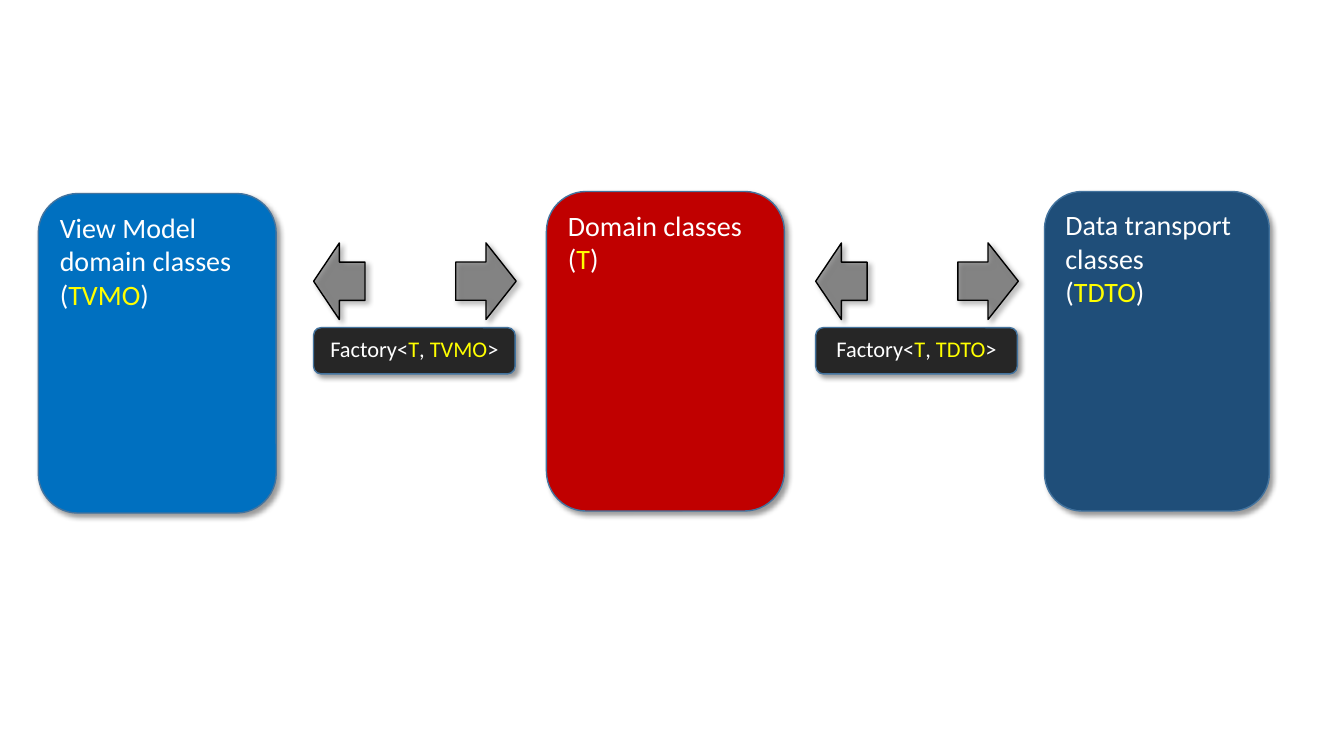
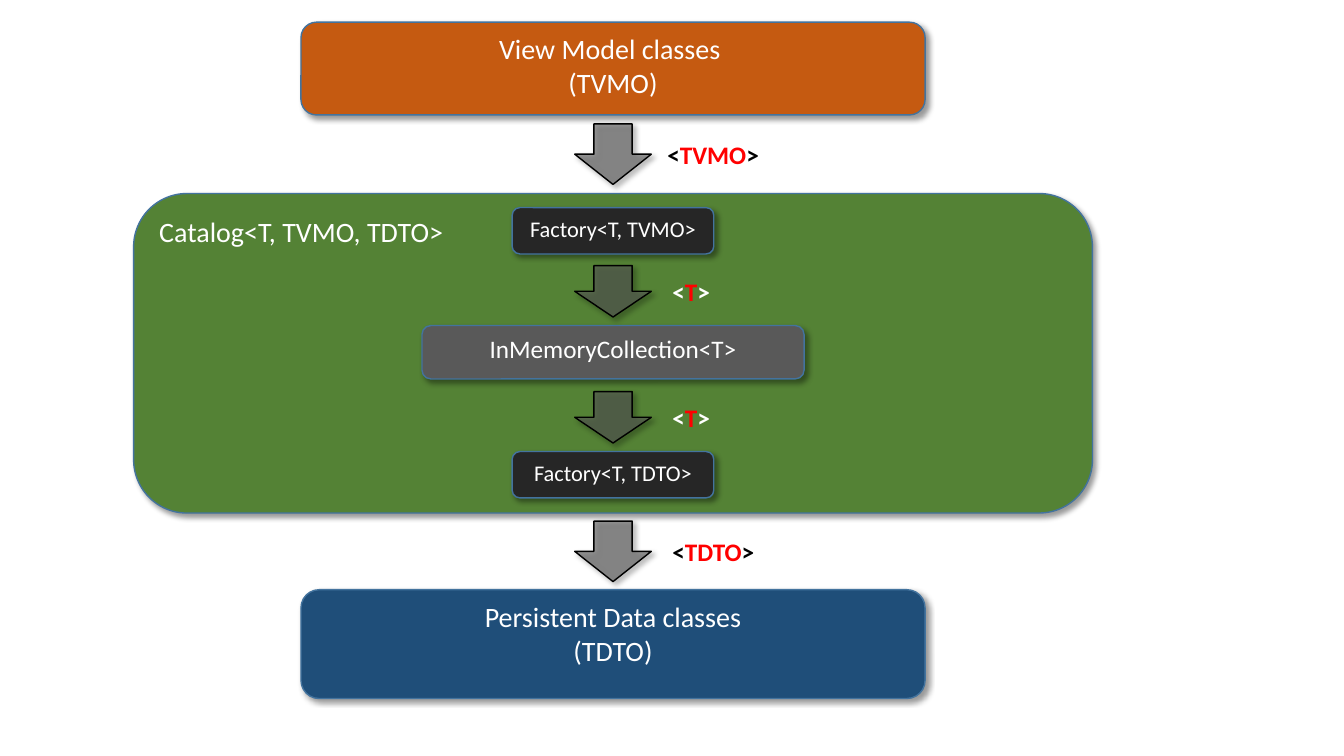
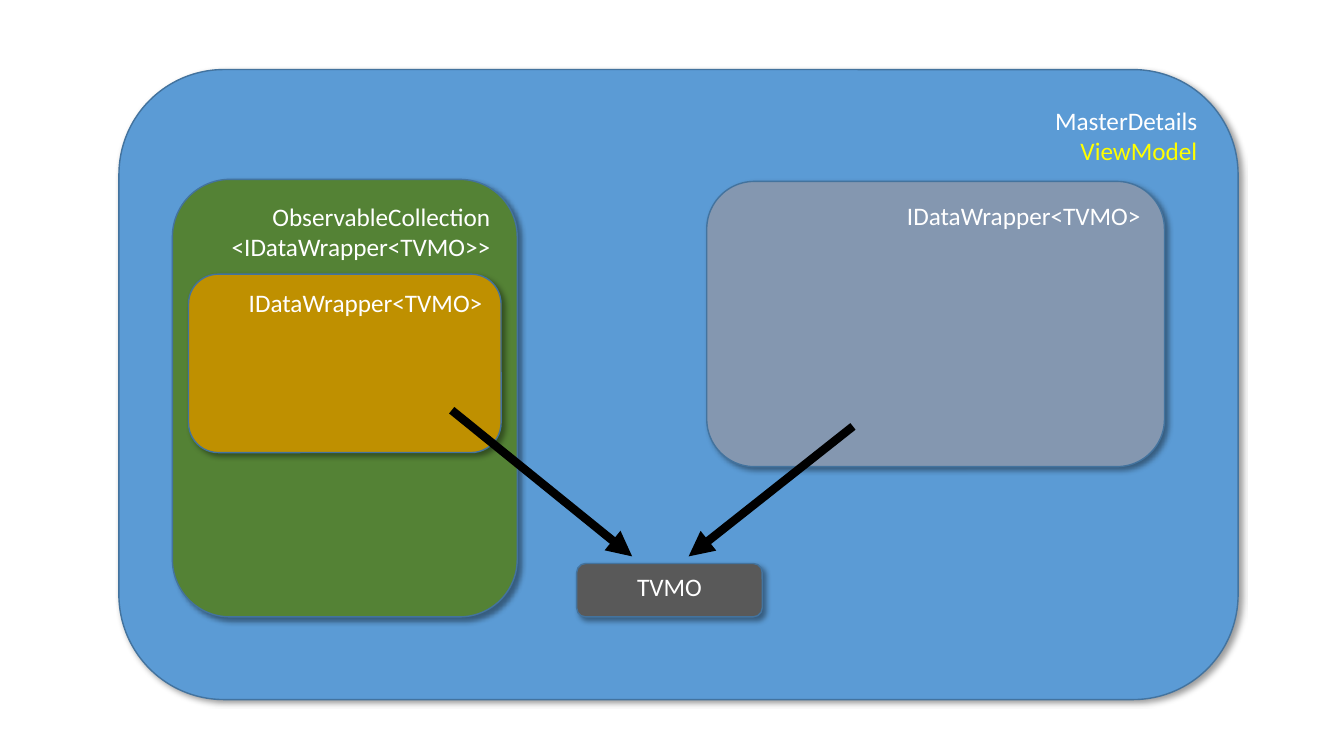
"""Three diagrams of how view model, domain and transport classes connect."""
from dataclasses import dataclass

from lxml import etree
from pptx import Presentation
from pptx.dml.color import RGBColor
from pptx.enum import shapes, text
from pptx.oxml.ns import qn
from pptx.util import Inches, Pt


@dataclass(frozen=True)
class Theme:
    """Colours and type sizes shared by all slides."""
    font: str = "Calibri"
    large: int = 20
    medium: int = 18
    small: int = 16
    white: str = "FFFFFF"
    black: str = "000000"
    yellow: str = "FFFF00"
    red: str = "FF0000"
    outline: str = "43739E"
    domain: str = "C00000"
    view: str = "0070C0"
    data: str = "1F4E79"
    factory: str = "262626"
    gray: str = "595959"
    green: str = "548235"
    orange: str = "C55A11"
    sky: str = "5B9BD5"
    gold: str = "BF9000"
    slate: str = "8497B0"


THEME = Theme()
LEFT, CENTER, RIGHT = text.PP_ALIGN.LEFT, text.PP_ALIGN.CENTER, text.PP_ALIGN.RIGHT
COLUMN_X = 6.08


def rgb(color):
    """Turn a hex string into a colour."""
    return RGBColor.from_string(color)


def cast_shadow(shape):
    """Give a shape the soft shadow of the deck."""
    shape.shadow.inherit = False
    effects = shape._element.spPr.find(qn("a:effectLst"))
    shadow = etree.SubElement(effects, qn("a:outerShdw"), blurRad=str(Pt(4)), dist=str(Pt(3)),
                              dir="2700000", algn="tl", rotWithShape="0")
    color = etree.SubElement(shadow, qn("a:srgbClr"), val=THEME.black)
    etree.SubElement(color, qn("a:alpha"), val="40000")


def add_block(slide, preset, box, fill, outline):
    """Draw a filled, outlined and shadowed preset shape."""
    block = slide.shapes.add_shape(preset, *map(Inches, box))
    block.fill.solid()
    block.fill.fore_color.rgb = rgb(fill)
    block.line.color.rgb = rgb(outline)
    block.line.width = Pt(1)
    cast_shadow(block)
    return block


def write(frame, lines, size, color, accent, align=LEFT, bold=False):
    """Write lines, with the parts between bars in the accent colour."""
    for index, line in enumerate(lines):
        paragraph = frame.add_paragraph() if index else frame.paragraphs[0]
        paragraph.alignment = align
        font = paragraph.font
        font.name, font.size, font.bold = THEME.font, Pt(size), bold
        font.color.rgb = rgb(color)
        for position, part in enumerate(line.split("|")):
            if part:
                run = paragraph.add_run()
                run.text = part
                if position % 2:
                    run.font.color.rgb = rgb(accent)


def add_panel(slide, box, fill, lines, size=THEME.medium, align=CENTER):
    """Draw a rounded panel with its text at the top."""
    panel = add_block(slide, shapes.MSO_SHAPE.ROUNDED_RECTANGLE, box, fill, THEME.outline)
    frame = panel.text_frame
    frame.word_wrap = True
    frame.vertical_anchor = text.MSO_ANCHOR.TOP
    write(frame, lines, size, THEME.white, THEME.yellow, align)


def add_column_panel(slide, top, width, height, fill, lines, size=THEME.medium, align=CENTER):
    """Draw a panel centred on the column of the catalog slide."""
    add_panel(slide, (COLUMN_X - width / 2, top, width, height), fill, lines, size, align)


def add_arrow(slide, center_x, center_y, length, rotation=0):
    """Draw a translucent block arrow around a centre."""
    height = 0.76
    box = (center_x - length / 2, center_y - height / 2, length, height)
    arrow = add_block(slide, shapes.MSO_SHAPE.RIGHT_ARROW, box, THEME.gray, THEME.black)
    arrow.rotation = rotation
    color = arrow._element.spPr.find(qn("a:solidFill"))[0]
    etree.SubElement(color, qn("a:alpha"), val="60000")


def add_type_label(slide, left, center_y, width, name, color):
    """Write a bold type name in angle brackets."""
    height = 0.4
    box = (left, center_y - height / 2, width, height)
    frame = slide.shapes.add_textbox(*map(Inches, box)).text_frame
    frame.word_wrap = False
    frame.auto_size = text.MSO_AUTO_SIZE.SHAPE_TO_FIT_TEXT
    write(frame, [f"<|{name}|>"], THEME.medium, color, THEME.red, bold=True)


def add_pointer(slide, start, end):
    """Draw a thick line with an arrowhead at its end."""
    pointer = slide.shapes.add_connector(shapes.MSO_CONNECTOR.STRAIGHT, *map(Inches, start + end))
    pointer.line.color.rgb = rgb(THEME.black)
    pointer.line.width = Pt(6)
    etree.SubElement(pointer.line._get_or_add_ln(), qn("a:tailEnd"), type="triangle")
    etree.SubElement(pointer._element.spPr, qn("a:effectLst"))


def add_factory_link(slide, left, name):
    """Draw a factory below a pair of opposite arrows."""
    add_panel(slide, (left, 3.25, 2, 0.46), THEME.factory, [f"Factory<|T|, |{name}|>"], THEME.small)
    add_arrow(slide, left + 1.71, 2.79, 0.6)
    add_arrow(slide, left + 0.255, 2.79, 0.51, 180)


def build_classes(slide):
    """Show the three class groups and the factories between them."""
    groups = [
        (5.42, 1.9, 2.36, THEME.domain, ["Domain classes", "(|T|)"]),
        (0.38, 1.92, 2.36, THEME.view, ["View Model", "domain classes", "(|TVMO|)"]),
        (10.36, 1.9, 2.23, THEME.data, ["Data transport classes", "(|TDTO|)"]),
    ]
    for left, top, width, fill, lines in groups:
        add_panel(slide, (left, top, width, 3.17), fill, lines, THEME.large, LEFT)
    for left, name in [(3.11, "TVMO"), (8.09, "TDTO")]:
        add_factory_link(slide, left, name)


def build_catalog(slide):
    """Show the path from view model through the catalog to storage."""
    add_column_panel(slide, 1.92, 9.51, 3.17, THEME.green, ["Catalog<T, TVMO, TDTO>"], THEME.large, LEFT)
    add_column_panel(slide, 0.22, 6.19, 0.92, THEME.orange, ["View Model classes ", "(TVMO)"], THEME.large)
    add_column_panel(slide, 3.23, 3.79, 0.53, THEME.gray, ["InMemoryCollection<T>"])
    add_column_panel(slide, 5.85, 6.19, 1.08, THEME.data, ["Persistent Data classes", "(TDTO)"], THEME.large)
    for top, name in [(2.06, "TVMO"), (4.48, "TDTO")]:
        add_column_panel(slide, top, 2, 0.46, THEME.factory, [f"Factory<T, {name}>"], THEME.small)
    steps = [
        (1.53, 0.6, 6.52, 1.12, "TVMO", THEME.black),
        (2.89, 0.51, 6.57, 0.58, "T", THEME.white),
        (4.14, 0.51, 6.57, 0.58, "T", THEME.white),
        (5.47, 0.6, 6.57, 1.02, "TDTO", THEME.black),
    ]
    for center_y, length, left, width, name, color in steps:
        add_arrow(slide, COLUMN_X, center_y, length, 90)
        add_type_label(slide, left, center_y, width, name, color)


def build_master_details(slide):
    """Show both wrappers pointing at the same view model object."""
    wrapper = ["IDataWrapper<TVMO>"]
    panels = [
        ((1.18, 0.69, 11.1, 6.25), THEME.sky, ["MasterDetails", "|ViewModel|"]),
        ((1.71, 1.78, 3.42, 4.34), THEME.green, ["ObservableCollection", "<IDataWrapper<TVMO>>"]),
        ((1.87, 2.72, 3.1, 1.77), THEME.gold, wrapper),
        ((7.01, 1.8, 4.54, 2.83), THEME.slate, wrapper),
    ]
    for box, fill, lines in panels:
        add_panel(slide, box, fill, lines, align=RIGHT)
    add_panel(slide, (5.72, 5.59, 1.84, 0.53), THEME.gray, ["TVMO"])
    add_pointer(slide, (4.48, 4.07), (6.27, 5.52))
    add_pointer(slide, (8.46, 4.23), (6.83, 5.52))


def main():
    """Build and save the deck."""
    deck = Presentation()
    deck.slide_width, deck.slide_height = Inches(13.33), Inches(7.5)
    for build in (build_classes, build_catalog, build_master_details):
        build(deck.slides.add_slide(deck.slide_layouts[6]))
    deck.save("out.pptx")


if __name__ == "__main__":
    main()
